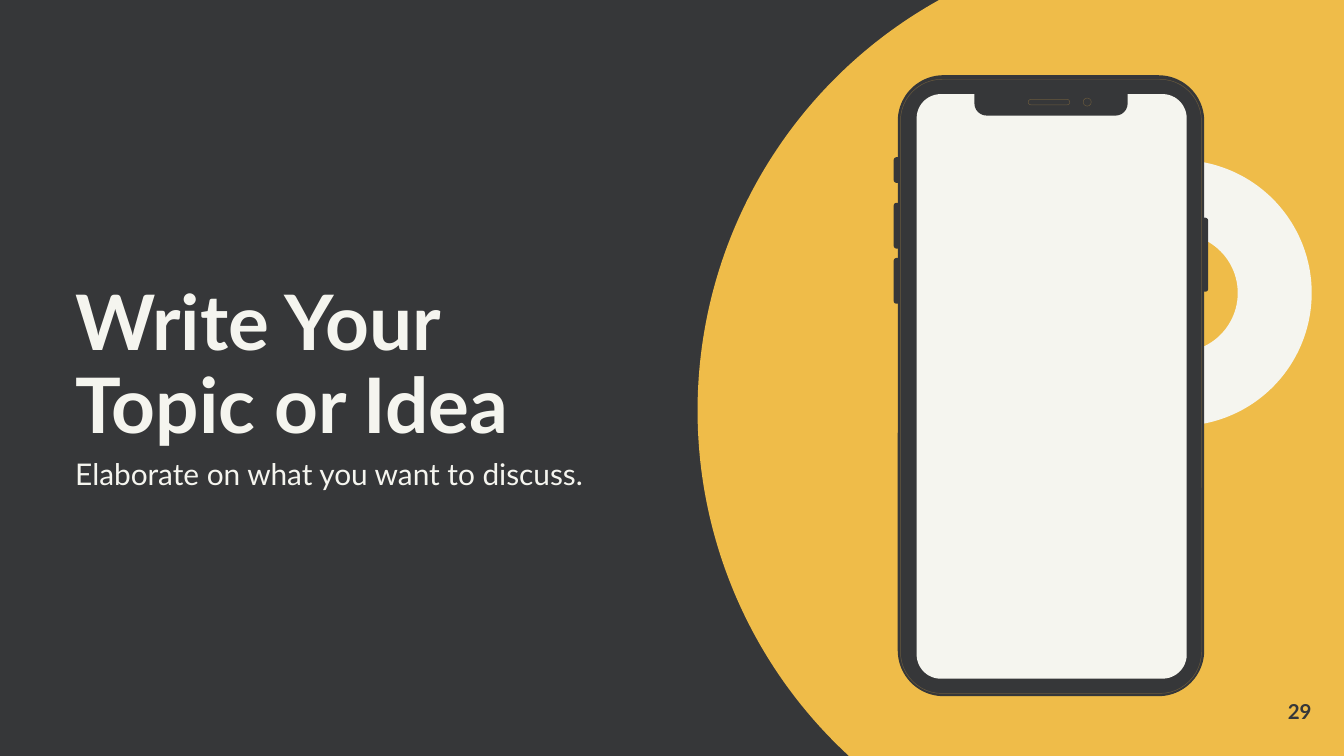
"""Build a topic slide with a phone mockup in front of a large circle."""
from pptx import Presentation
from pptx.dml.color import RGBColor
from pptx.enum.shapes import MSO_SHAPE
from pptx.enum.text import MSO_ANCHOR, PP_ALIGN
from pptx.util import Inches, Pt

CHORD, DONUT = MSO_SHAPE.CHORD, MSO_SHAPE.DONUT
ROUNDED, OVAL = MSO_SHAPE.ROUNDED_RECTANGLE, MSO_SHAPE.OVAL
TWO_ROUND = MSO_SHAPE.ROUND_2_SAME_RECTANGLE
TOP, MIDDLE, BOTTOM = MSO_ANCHOR.TOP, MSO_ANCHOR.MIDDLE, MSO_ANCHOR.BOTTOM
LEFT, RIGHT = PP_ALIGN.LEFT, PP_ALIGN.RIGHT

THEME = {
    "font": "Lato",
    "dark": RGBColor.from_string("363739"),
    "yellow": RGBColor.from_string("EFBC49"),
    "light": RGBColor.from_string("F5F5EF"),
    "seam": RGBColor.from_string("6A5A3D"),
    "title": Pt(41),
    "subtitle": Pt(16),
    "number": Pt(11),
}
SLIDE_SIZE = (10, 10 * 9 / 16)

TEXTS = [
    {"text": "Write Your Topic or Idea", "box": (0.56, 1.81, 4.02, 1.54),
     "size": "title", "color": "light", "bold": True, "anchor": BOTTOM,
     "paragraph": {"alignment": LEFT, "line_spacing": 0.9}},
    {"text": "Elaborate on what you want to discuss.", "box": (0.56, 3.35, 4.02, 0.29),
     "size": "subtitle", "color": "light", "bold": False, "anchor": TOP,
     "paragraph": {"alignment": LEFT, "line_spacing": 1.15, "space_after": Pt(8)}},
    {"text": "29", "box": (9.16, 5.19, 0.6, 0.2),
     "size": "number", "color": "dark", "bold": True, "anchor": MIDDLE,
     "paragraph": {"alignment": RIGHT}},
]

CIRCLE = (5.19, -0.44, 6.99, 6.99)
CIRCLE_ANGLES = (108, 38)
RING, RING_WIDTH = (7.78, 1.19, 1.98, 1.98), 0.55

BUTTON_WIDTH, BUTTON_RADIUS = 0.06, 0.02
LEFT_BUTTONS = [(1.17, 0.19), (1.51, 0.34), (1.92, 0.34)]
RIGHT_BUTTONS = [(1.62, 0.55)]
BODY, BODY_RADIUS = (6.68, 0.56, 2.28, 4.62), 0.34
BEZEL, BEZEL_RADIUS = (6.7, 0.59, 2.24, 4.57), 0.31
SCREEN, SCREEN_RADIUS = (6.82, 0.7, 2.01, 4.35), 0.18
NOTCH, NOTCH_RADIUS = (7.25, 0.68, 1.14, 0.18), 0.1
SPEAKER, SPEAKER_RADIUS = (7.65, 0.74, 0.31, 0.04), 0.02
CAMERA = (8.06, 0.73, 0.06, 0.06)


def add_part(slide, kind, box, color, adjustments=(), seam=False):
    part = slide.shapes.add_shape(kind, *map(Inches, box))
    part.shadow.inherit = False
    part.fill.solid()
    part.fill.fore_color.rgb = THEME[color]
    if seam:
        part.line.color.rgb = THEME["seam"]
        part.line.width = Pt(0.25)
    else:
        part.line.fill.background()
    for index, value in enumerate(adjustments):
        part.adjustments[index] = value
    return part


def add_rounded(slide, box, radius, color, kind=ROUNDED, seam=False):
    return add_part(slide, kind, box, color, [radius / min(box[2:])], seam)


def add_phone(slide):
    left_edge = BODY[0] - 0.03
    right_edge = BODY[0] + BODY[2] + 0.03 - BUTTON_WIDTH
    for x, buttons in ((left_edge, LEFT_BUTTONS), (right_edge, RIGHT_BUTTONS)):
        for y, height in buttons:
            add_rounded(slide, (x, y, BUTTON_WIDTH, height), BUTTON_RADIUS, "dark")
    add_rounded(slide, BODY, BODY_RADIUS, "dark")
    add_rounded(slide, BEZEL, BEZEL_RADIUS, "dark", seam=True)
    add_rounded(slide, SCREEN, SCREEN_RADIUS, "light")
    add_rounded(slide, NOTCH, NOTCH_RADIUS, "dark", kind=TWO_ROUND).rotation = 180
    add_rounded(slide, SPEAKER, SPEAKER_RADIUS, "dark", seam=True)
    add_part(slide, OVAL, CAMERA, "dark", seam=True)


def add_text(slide, entry):
    frame = slide.shapes.add_textbox(*map(Inches, entry["box"])).text_frame
    frame_format = {"word_wrap": True, "vertical_anchor": entry["anchor"],
                    "margin_left": 0, "margin_top": 0,
                    "margin_right": 0, "margin_bottom": 0}
    paragraph = frame.paragraphs[0]
    run = paragraph.add_run()
    run.text = entry["text"]
    font_format = {"name": THEME["font"], "size": THEME[entry["size"]],
                   "bold": entry["bold"]}
    for target, values in ((frame, frame_format), (paragraph, entry["paragraph"]),
                           (run.font, font_format)):
        for name, value in values.items():
            setattr(target, name, value)
    run.font.color.rgb = THEME[entry["color"]]


def main():
    deck = Presentation()
    deck.slide_width, deck.slide_height = map(Inches, SLIDE_SIZE)
    slide = deck.slides.add_slide(deck.slide_layouts[6])
    slide.background.fill.solid()
    slide.background.fill.fore_color.rgb = THEME["dark"]
    add_part(slide, CHORD, CIRCLE, "yellow", [angle * 0.6 for angle in CIRCLE_ANGLES])
    add_part(slide, DONUT, RING, "light", [RING_WIDTH / RING[2]])
    add_phone(slide)
    for entry in TEXTS:
        add_text(slide, entry)
    deck.save("out.pptx")


if __name__ == "__main__":
    main()
